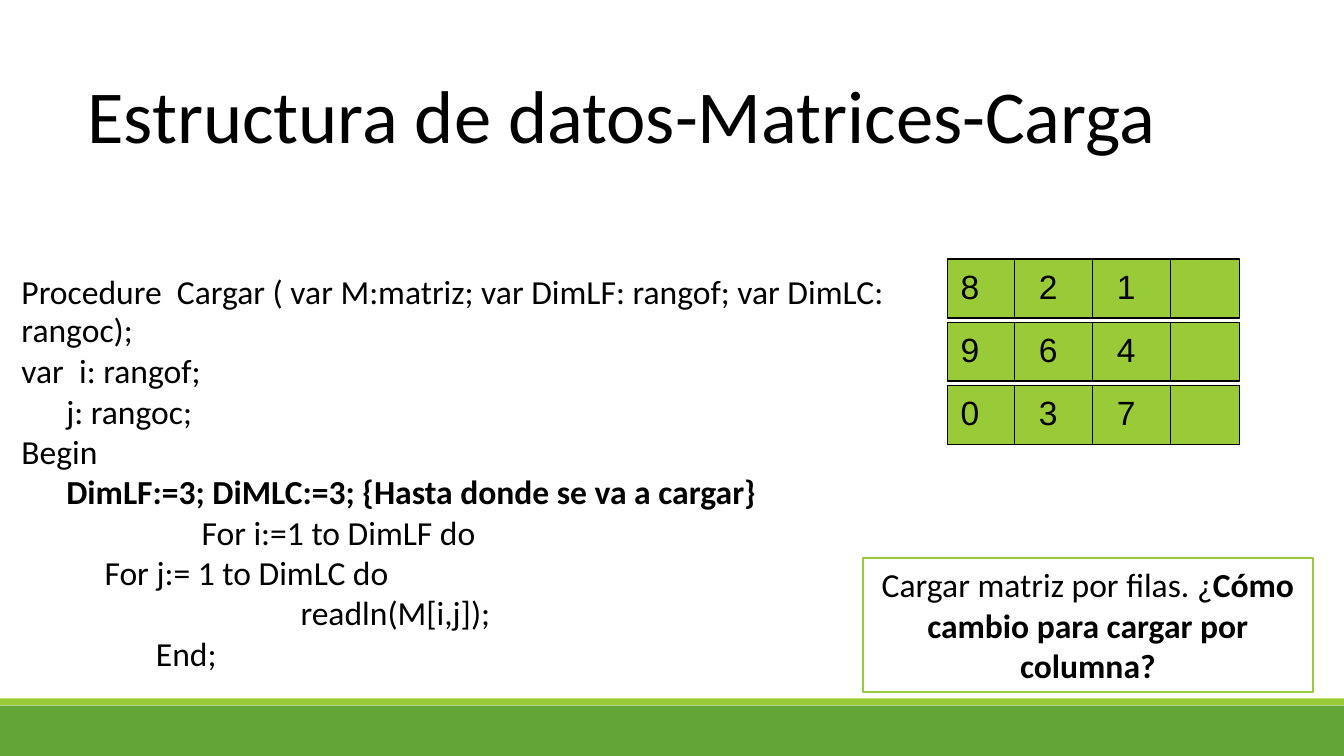
"""Build the slide about loading a matrix by rows."""
from lxml import etree
from pptx import Presentation
from pptx.dml.color import RGBColor
from pptx.enum.shapes import MSO_CONNECTOR, MSO_SHAPE
from pptx.enum.text import MSO_ANCHOR, MSO_AUTO_SIZE, PP_ALIGN
from pptx.oxml.ns import qn
from pptx.util import Pt

RECTANGLE = MSO_SHAPE.RECTANGLE
STRAIGHT = MSO_CONNECTOR.STRAIGHT
TOP, MIDDLE, BOTTOM = MSO_ANCHOR.TOP, MSO_ANCHOR.MIDDLE, MSO_ANCHOR.BOTTOM
LEFT, CENTER = PP_ALIGN.LEFT, PP_ALIGN.CENTER
NO_FIT = MSO_AUTO_SIZE.NONE

BLACK = RGBColor(0x00, 0x00, 0x00)
WHITE = RGBColor(0xFF, 0xFF, 0xFF)
LIME = RGBColor(0x99, 0xCB, 0x38)
GREEN = RGBColor(0x63, 0xA5, 0x37)

CODE_LINES = [
    ("Procedure  Cargar ( var M:matriz; var DimLF: rangof; var DimLC: rangoc);", 0, False),
    ("var  i: rangof;", 0, False),
    ("j: rangoc;", 24, False),
    ("Begin", 0, False),
    ("DimLF:=3; DiMLC:=3; {Hasta donde se va a cargar}", 24, True),
    ("For i:=1 to DimLF do", 96.5, False),
    ("For j:= 1 to DimLC do", 44.5, False),
    ("readln(M[i,j]);", 149.5, False),
    ("End;", 72, False),
]
MATRIX = ["821", "964", "037"]
MATRIX_LEFT, MATRIX_TOP, MATRIX_WIDTH = 507.6, 138.8, 156.4
ROW_HEIGHT, ROW_STEP = 31.5, 33.9
COLUMN_STEP, FIRST_DIVIDER = 41.8, 36


def add_rectangle(left, top, width, height, fill, line=None, line_width=0.75):
    shape = slide.shapes.add_shape(RECTANGLE, Pt(left), Pt(top), Pt(width), Pt(height))
    shape.shadow.inherit = False
    shape.fill.solid()
    shape.fill.fore_color.rgb = fill
    if line is None:
        shape.line.fill.background()
    else:
        shape.line.color.rgb = line
        shape.line.width = Pt(line_width)
    return shape


def add_run(paragraph, text, font_name="Calibri", size=18, bold=False):
    run = paragraph.add_run()
    run.text = text
    run.font.color.rgb = BLACK
    font_format = {"name": font_name, "size": Pt(size), "bold": bold}
    for attribute, value in font_format.items():
        setattr(run.font, attribute, value)


presentation = Presentation()
presentation.slide_width, presentation.slide_height = Pt(720), Pt(405)
slide = presentation.slides.add_slide(presentation.slide_layouts[5])

add_rectangle(0, 378, 720, 27, GREEN)
add_rectangle(0, 374.2, 720, 3.8, LIME)

title = slide.shapes.title
title_format = {"left": Pt(39.6), "top": Pt(9.4), "width": Pt(671.8), "height": Pt(79.2)}
for attribute, value in title_format.items():
    setattr(title, attribute, value)
title.text_frame.auto_size = NO_FIT
title.text_frame.vertical_anchor = BOTTOM
title_paragraph = title.text_frame.paragraphs[0]
title_paragraph.alignment = LEFT
title_paragraph.line_spacing = 0.85
add_run(title_paragraph, "Estructura de datos-Matrices-Carga", size=40)

code_frame = slide.shapes.add_textbox(Pt(11.5), Pt(124.6), Pt(478), Pt(258)).text_frame
frame_format = {"word_wrap": True, "vertical_anchor": MIDDLE, "margin_left": 0,
                "margin_right": 0, "margin_top": 0, "margin_bottom": 0}
for attribute, value in frame_format.items():
    setattr(code_frame, attribute, value)
for index, (text, indent, bold) in enumerate(CODE_LINES):
    paragraph = code_frame.add_paragraph() if index else code_frame.paragraphs[0]
    paragraph._p.get_or_add_pPr().set("marL", str(Pt(indent)))
    add_run(paragraph, text, bold=bold)
code_frame.paragraphs[0].line_spacing = 0.95

for row, digits in enumerate(MATRIX):
    top = MATRIX_TOP + row * ROW_STEP
    add_rectangle(MATRIX_LEFT, top, MATRIX_WIDTH, ROW_HEIGHT, LIME, BLACK)
    for column, digit in enumerate(digits):
        divider_x = MATRIX_LEFT + FIRST_DIVIDER + column * COLUMN_STEP
        divider = slide.shapes.add_connector(
            STRAIGHT, Pt(divider_x), Pt(top), Pt(divider_x), Pt(top + ROW_HEIGHT))
        divider.line.color.rgb = BLACK
        divider.line.width = Pt(0.75)
        etree.SubElement(divider._element.spPr, qn("a:effectLst"))
        digit_left = MATRIX_LEFT + column * COLUMN_STEP
        digit_box = slide.shapes.add_textbox(Pt(digit_left), Pt(top), Pt(30.2), Pt(28.8))
        digit_box.text_frame.word_wrap = True
        digit_paragraph = digit_box.text_frame.paragraphs[0]
        digit_paragraph.space_before = Pt(11.2)
        add_run(digit_paragraph, digit, "Arial")

question = add_rectangle(462.2, 298.8, 241.2, 72, WHITE, LIME, 1.25)
question.text_frame.word_wrap = True
question.text_frame.vertical_anchor = TOP
question_paragraph = question.text_frame.paragraphs[0]
question_paragraph.alignment = CENTER
question_paragraph.space_before = Pt(11.2)
add_run(question_paragraph, "Cargar matriz por filas. ¿")
add_run(question_paragraph, "Cómo cambio para cargar por columna?", bold=True)

presentation.save("out.pptx")
